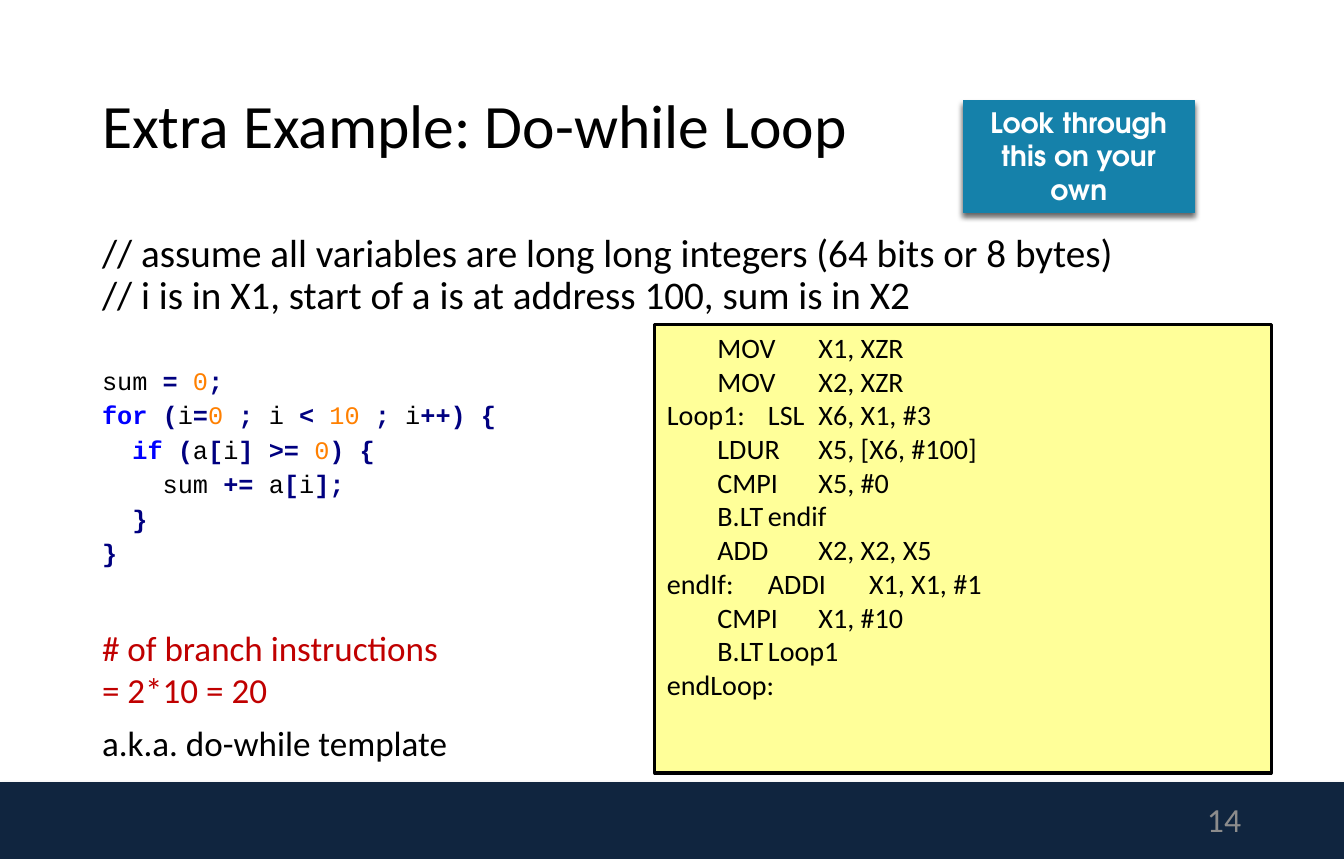
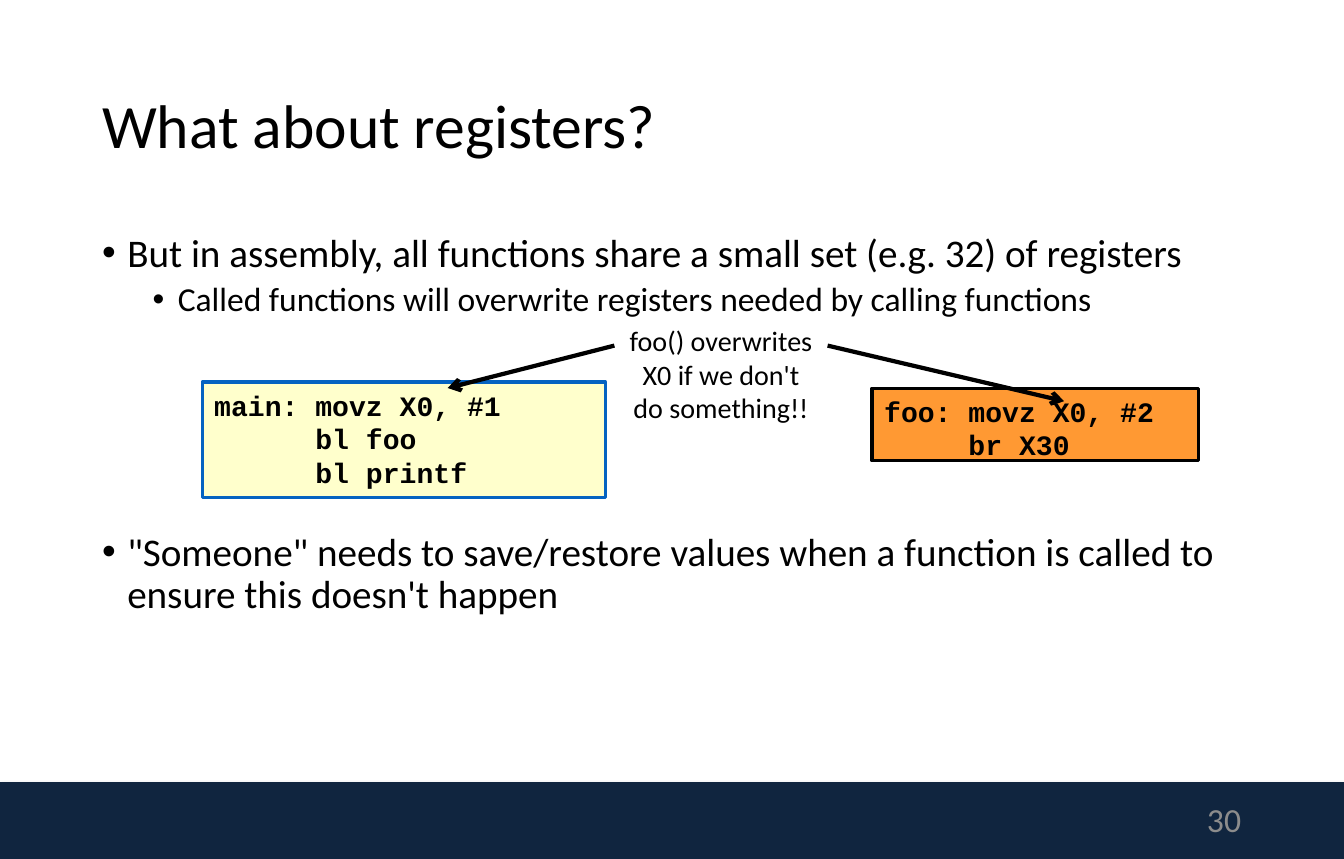
from dataclasses import dataclass
from itertools import groupby
from typing import Callable, Optional

from lxml import etree
from pptx import Presentation
from pptx import util as u
from pptx.dml.color import RGBColor
from pptx.enum import shapes, text
from pptx.oxml import ns

IN = u.Inches
LEFT, MID, RIGHT = text.PP_ALIGN.LEFT, text.PP_ALIGN.CENTER, text.PP_ALIGN.RIGHT


@dataclass(frozen=True)
class Theme:
    sans: str = "Calibri"
    mono: str = "Courier New"
    geo: str = "TeX Gyre Adventor"
    black: str = "000000"
    white: str = "FFFFFF"
    band: str = "10253F"
    shade: str = "808080"
    gray: str = "8C8C8C"
    red: str = "C00000"
    teal: str = "1581AA"
    yellow: str = "FFFF99"
    cream: str = "FFFFCC"
    orange: str = "FF9933"
    blue: str = "0563C1"
    key: str = "0000FF"
    sign: str = "000080"
    digit: str = "FF8000"
    title: float = 43.9
    body: float = 27.9
    sub: float = 23.9
    note: float = 25
    page: float = 24
    small: float = 20
    code: float = 18


T = Theme()


@dataclass(frozen=True)
class Box:
    x: float
    y: float
    w: float
    h: float

    def emu(self) -> tuple:
        return IN(self.x), IN(self.y), IN(self.w), IN(self.h)


@dataclass(frozen=True)
class Shade:
    color: str
    alpha: int
    blur: float
    dist: float


@dataclass(frozen=True)
class Panel:
    box: Box
    fill: str
    line: Optional[str]
    words: str
    font: str = T.sans
    bold: bool = False
    tabs: tuple = ()


@dataclass(frozen=True)
class Item:
    words: str
    level: int
    size: float
    before: float


@dataclass(frozen=True)
class Arrow:
    x1: float
    y1: float
    x2: float
    y2: float


TITLE = Box(0.91, 0.45, 11.47, 1.64)
BODY = Box(0.91, 2.26, 11.47, 5.39)
BAND = Box(0, 7.74, 13.3, 0.76)
PAGE = Box(9.39, 7.88, 2.99, 0.45)


def rgb(color: str) -> RGBColor:
    return RGBColor.from_string(color)


def sub(parent, tag: str, **attrs):
    return etree.SubElement(parent, ns.qn(tag), {k: str(v) for k, v in attrs.items()})


# Text
def say(frame, words: str, *, size: float, color: str = T.black, font: str = T.sans,
        bold: bool = False, align=LEFT, lead: float = 1, before: float = 0,
        bullet: bool = False, level: int = 0, tabs: tuple = (), more: bool = False,
        split: Optional[Callable] = None) -> None:
    """Write one paragraph per line; more=True adds to the text already there."""
    for n, line in enumerate(words.split("\n")):
        p = frame.add_paragraph() if more or n else frame.paragraphs[0]
        p.level = level
        prop = p._p.get_or_add_pPr()
        prop.set("marL", str(IN(0.25 + 0.5 * level) if bullet else 0))
        prop.set("indent", str(IN(-0.25) if bullet else 0))
        if bullet:
            sub(prop, "a:buFont", typeface="Arial")
            sub(prop, "a:buChar", char="•")
        else:
            sub(prop, "a:buNone")
        if tabs:
            stops = sub(prop, "a:tabLst")
            for pos in tabs:
                sub(stops, "a:tab", pos=IN(pos), algn="l")
        p.alignment, p.line_spacing = align, lead
        p.space_before, p.space_after = u.Pt(0 if n else before), u.Pt(0)
        for part, tint, heavy in split(line) if split else [(line, color, bold)]:
            run = p.add_run()
            run.text = part
            run.font.name, run.font.size, run.font.bold = font, u.Pt(size), heavy
            run.font.color.rgb = rgb(tint)


def kind(char: str) -> str:
    if char.isdigit():
        return "digit"
    return "word" if char.isalpha() else "gap" if char.isspace() else "sign"


def tokens(line: str) -> list:
    """Split C code into coloured parts."""
    parts = []
    for name, chars in groupby(line, kind):
        part = "".join(chars)
        key = part in ("for", "if")
        color = T.key if key else {"digit": T.digit, "sign": T.sign}.get(name, T.black)
        parts.append((part, color, key or name == "sign"))
    return parts


def setup(frame, pad: tuple = (0.1, 0.05), anchor=text.MSO_ANCHOR.TOP):
    frame.word_wrap, frame.auto_size = True, text.MSO_AUTO_SIZE.NONE
    frame.vertical_anchor = anchor
    frame.margin_left = frame.margin_right = IN(pad[0])
    frame.margin_top = frame.margin_bottom = IN(pad[1])
    return frame


def label(slide, box: Box, words: str, pad: tuple = (0.12, 0.06),
          anchor=text.MSO_ANCHOR.TOP, **fmt) -> None:
    say(setup(slide.shapes.add_textbox(*box.emu()).text_frame, pad, anchor), words, **fmt)


# Shapes
def rect(slide, box: Box, fill: str, line: Optional[str] = None, width: float = 2.25,
         shade: Optional[Shade] = None):
    shape = slide.shapes.add_shape(shapes.MSO_SHAPE.RECTANGLE, *box.emu())
    shape.shadow.inherit = False
    shape.fill.solid()
    shape.fill.fore_color.rgb = rgb(fill)
    if line:
        shape.line.color.rgb, shape.line.width = rgb(line), u.Pt(width)
    else:
        shape.line.fill.background()
    if shade:
        drop = sub(shape.element.spPr.find(ns.qn("a:effectLst")), "a:outerShdw",
                   blurRad=u.Pt(shade.blur), dist=u.Pt(shade.dist), dir=90 * 60000,
                   algn="t", rotWithShape=0)
        sub(sub(drop, "a:srgbClr", val=shade.color), "a:alpha", val=shade.alpha * 1000)
    return shape


def panel(slide, spec_: Panel) -> None:
    shape = rect(slide, spec_.box, spec_.fill, spec_.line)
    say(setup(shape.text_frame, (0.12, 0.06)), spec_.words, size=T.small,
        font=spec_.font, bold=spec_.bold, tabs=spec_.tabs)


def arrow(slide, a: Arrow) -> None:
    line = slide.shapes.add_connector(shapes.MSO_CONNECTOR.STRAIGHT,
                                      IN(a.x1), IN(a.y1), IN(a.x2), IN(a.y2))
    line.line.color.rgb, line.line.width = rgb(T.black), u.Pt(3)
    sub(line.line._get_or_add_ln(), "a:tailEnd", type="arrow")
    sub(line.element.spPr, "a:effectLst")


# Shared layout
def place(shape, box: Box) -> None:
    shape.left, shape.top, shape.width, shape.height = box.emu()


def dress(layout, slide) -> None:
    """Put the places and the bottom band on the layout."""
    title, body, *rest = list(layout.placeholders)
    place(title, TITLE)
    place(body, BODY)
    for extra in rest:
        extra.element.getparent().remove(extra.element)
    band = rect(slide, BAND, T.band, shade=Shade(T.shade, 35, 3.1, 1.8))
    layout.element.cSld.spTree.insert(2, band.element)


def start(deck, title: str, page: int):
    layout = deck.slide_layouts[1]
    slide = deck.slides.add_slide(layout)
    if len(deck.slides) == 1:
        dress(layout, slide)
    middle = text.MSO_ANCHOR.MIDDLE
    say(setup(slide.shapes.title.text_frame, anchor=middle), title,
        size=T.title, lead=0.9)
    label(slide, PAGE, str(page), (0.1, 0.05), middle,
          size=T.page, color=T.gray, align=RIGHT)
    return slide, setup(slide.placeholders[1].text_frame)


# Slide content
INTRO = """// assume all variables are long long integers (64 bits or 8 bytes)
// i is in X1, start of a is at address 100, sum is in X2"""

LOOP = """sum = 0;
for (i=0 ; i < 10 ; i++) {
  if (a[i] >= 0) {
    sum += a[i];
  }
}"""

ASM = Panel(Box(6.48, 3.21, 6.1, 4.44), T.yellow, T.black, """\tMOV\tX1, XZR
\tMOV\tX2, XZR
Loop1:\tLSL\tX6, X1, #3
\tLDUR\tX5, [X6, #100]
\tCMPI\tX5, #0
\tB.LT\tendif
\tADD\tX2, X2, X5
endIf:\tADDI\tX1, X1, #1
\tCMPI\tX1, #10
\tB.LT\tLoop1
endLoop:""", tabs=(1.4, 2.8))

ITEMS = [
    Item("But in assembly, all functions share a small set (e.g. 32) of registers",
         0, T.body, 0),
    Item("Called functions will overwrite registers needed by calling functions",
         1, T.sub, 5),
    Item("\"Someone\" needs to save/restore values when a function is called to "
         "ensure this doesn't happen", 0, T.body, 152),
]

CALLS = [
    Panel(Box(2, 3.78, 3.99, 1.14), T.cream, T.blue,
          "main: movz X0, #1\n      bl foo\n      bl printf", T.mono, True),
    Panel(Box(8.63, 3.84, 3.23, 0.72), T.orange, T.black,
          "foo: movz X0, #2\n     br X30", T.mono, True),
]

ARROWS = [Arrow(6.08, 3.42, 4.43, 3.84), Arrow(8.19, 3.42, 10.53, 3.97)]


def loop(deck) -> None:
    slide, body = start(deck, "Extra Example: Do-while Loop", 14)
    say(body, INTRO, size=T.body, lead=0.9)
    say(body, LOOP, size=T.code, font=T.mono, lead=1.14, before=30.5,
        split=tokens, more=True)
    panel(slide, ASM)
    label(slide, Box(0.89, 6.14, 5.21, 0.97), "# of branch instructions\n= 2*10 = 20",
          size=T.note, color=T.red)
    label(slide, Box(0.89, 7.08, 3.72, 0.55), "a.k.a. do-while template", size=T.note)
    tip = rect(slide, Box(9.53, 0.99, 2.29, 1.11), T.teal, T.teal, 0.75,
               Shade(T.black, 60, 4, 3))
    say(setup(tip.text_frame), "Look through this on your own", size=T.small,
        color=T.white, font=T.geo, bold=True, align=MID)


def regs(deck) -> None:
    slide, body = start(deck, "What about registers?", 30)
    for n, item in enumerate(ITEMS):
        say(body, item.words, size=item.size, level=item.level, before=item.before,
            lead=0.9, bullet=True, more=n > 0)
    for call in CALLS:
        panel(slide, call)
    label(slide, Box(6.08, 3.14, 2.11, 1.14),
          "foo() overwrites X0 if we don't do something!!", size=T.small, align=MID)
    for a in ARROWS:
        arrow(slide, a)


def main() -> None:
    deck = Presentation()
    deck.slide_width, deck.slide_height = IN(13.3), IN(8.5)
    loop(deck)
    regs(deck)
    deck.save("out.pptx")


if __name__ == "__main__":
    main()
